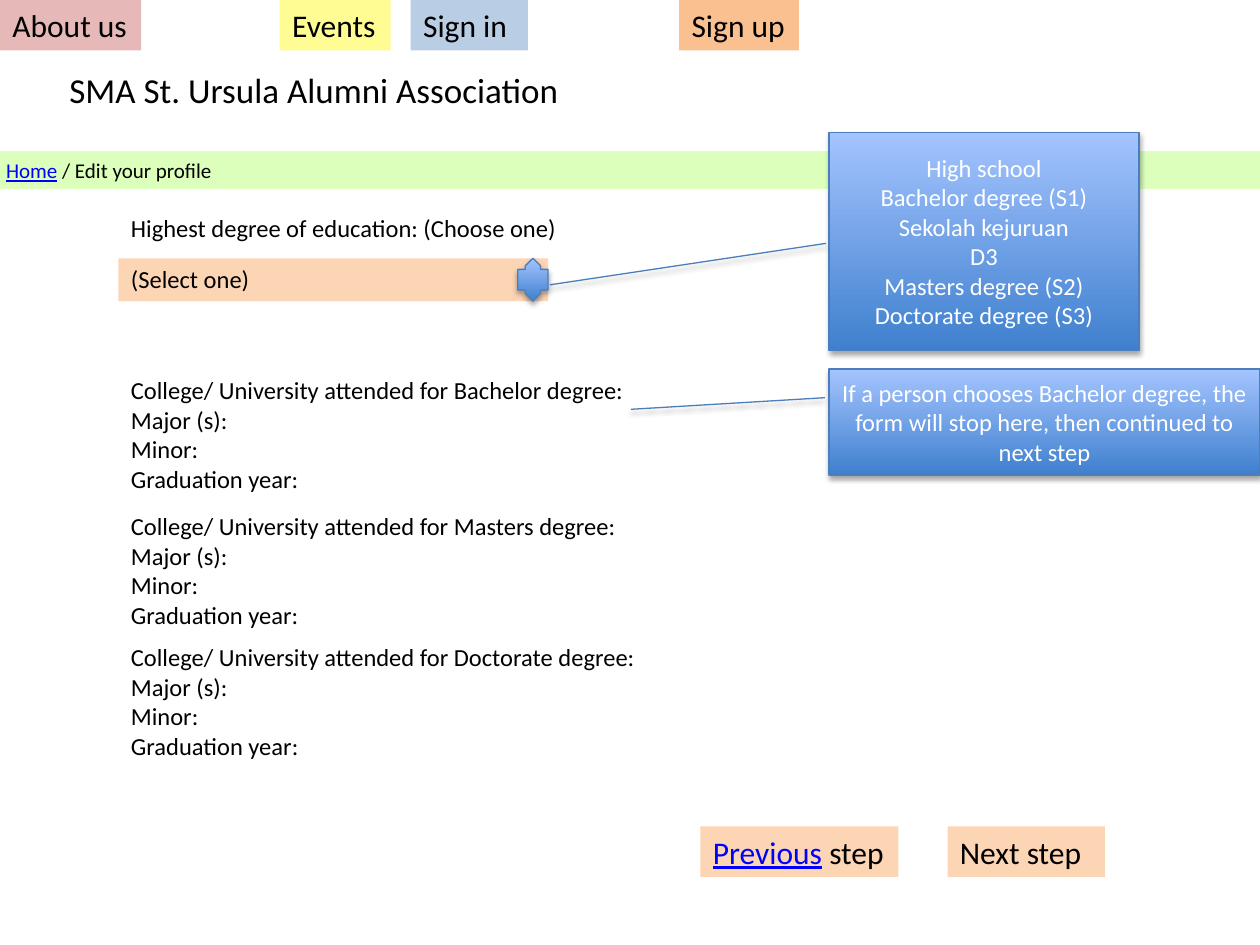
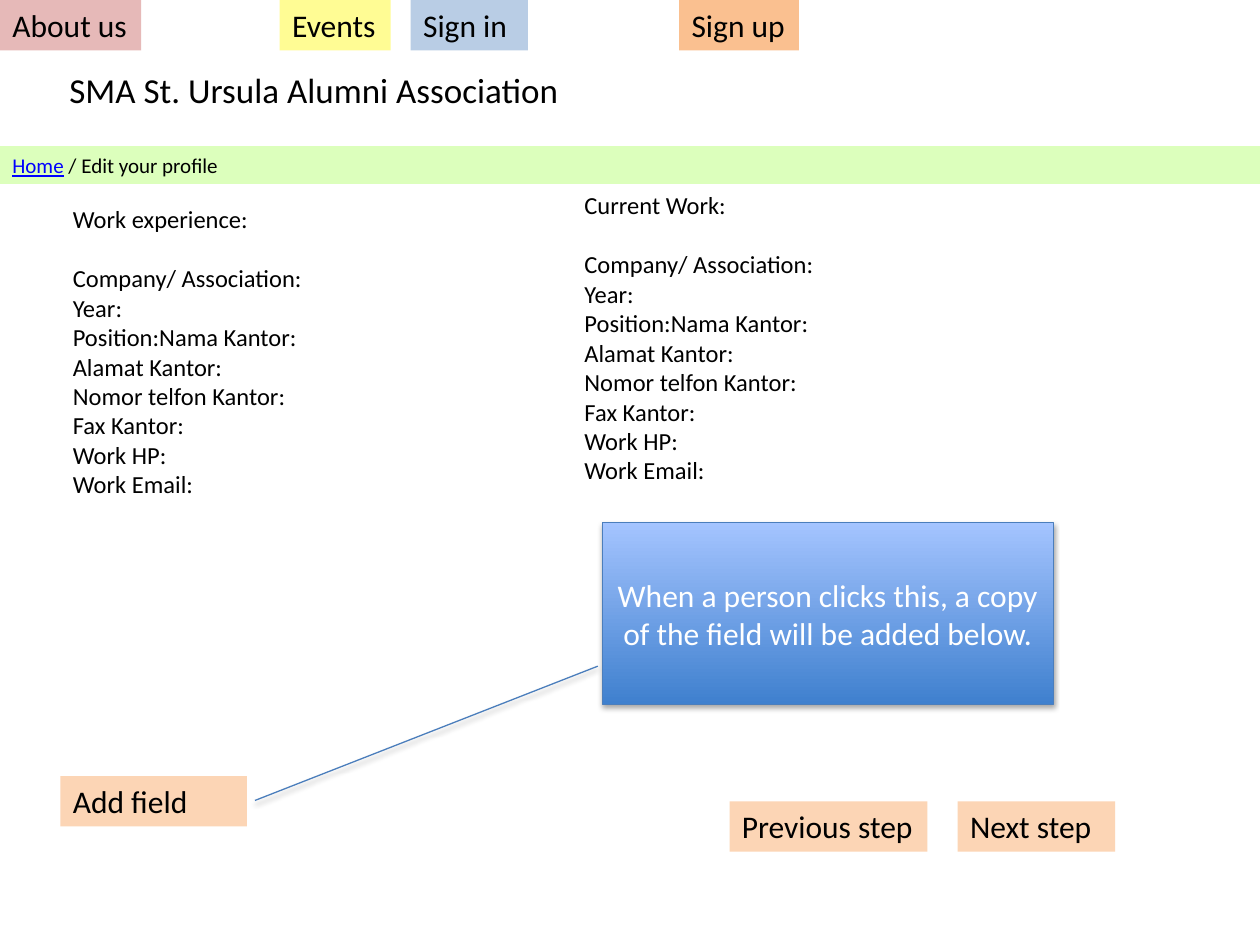
from dataclasses import dataclass

from lxml import etree
from pptx import Presentation
from pptx.dml.color import RGBColor
from pptx.enum.shapes import MSO_SHAPE
from pptx.enum.text import MSO_ANCHOR, MSO_AUTO_SIZE, PP_ALIGN
from pptx.oxml.ns import qn
from pptx.util import Inches, Pt

RECTANGLE = MSO_SHAPE.RECTANGLE
CALLOUT = MSO_SHAPE.LINE_CALLOUT_1
DROPDOWN_ARROW = MSO_SHAPE.UP_DOWN_ARROW_CALLOUT
TOP, MIDDLE = MSO_ANCHOR.TOP, MSO_ANCHOR.MIDDLE
LEFT, CENTER = PP_ALIGN.LEFT, PP_ALIGN.CENTER
NO_AUTOFIT = MSO_AUTO_SIZE.NONE
TITLE_ONLY = 5

FONT = "Calibri"
BLACK, WHITE, LINK = "000000", "FFFFFF", "0000FF"
PEACH, LIME = "FCD5B5", "A3FF4F"
NOTE_DARK, NOTE_LIGHT, NOTE_EDGE = "3F80CE", "A4C4FF", "4B7EBC"
BUTTON_HEIGHT = 0.4
BLANK_LINE = 17.1

WORK_FIELDS = ["Company/ Association:", "Year:", "Position:Nama Kantor:",
               "Alamat Kantor:", "Nomor telfon Kantor:", "Fax Kantor:",
               "Work HP:", "Work Email:"]
DEGREE_FIELDS = ["Major (s):", "Minor:", "Graduation year:"]
DEGREES = ["High school", "Bachelor degree (S1)", "Sekolah kejuruan", "D3",
           "Masters degree (S2)", "Doctorate degree (S3)"]


@dataclass(frozen=True)
class Box:
    left: float
    top: float
    width: float
    height: float

    def lengths(self) -> list:
        return [Inches(v) for v in (self.left, self.top, self.width, self.height)]


@dataclass(frozen=True)
class Button:
    label: str
    left: float
    width: float
    color: str = PEACH
    link: str = ""
    wrap: bool = False


@dataclass(frozen=True)
class Note:
    """A blue shape; pointer holds its preset adjustments."""
    box: Box
    pointer: tuple
    lines: tuple = ()
    size: int = 14
    preset: int = CALLOUT


NAVIGATION = [
    Button("About us", 0, 1.12, "E6B9B8"),
    Button("Events", 2.22, 0.88, "FFFC94"),
    Button("Sign in", 3.26, 0.93, "B9CDE5"),
    Button("Sign up", 5.39, 0.95, "FAC090"),
]


def rgb(color: str) -> RGBColor:
    return RGBColor.from_string(color)


def write(frame, lines, *, size=14, color=BLACK, align=LEFT, anchor=TOP,
          wrap=True, link="", heading_gap=0.0) -> None:
    """Fill a text frame; link is a leading piece of the first line."""
    frame.word_wrap = wrap
    frame.auto_size = NO_AUTOFIT
    frame.vertical_anchor = anchor
    for index, line in enumerate(lines):
        paragraph = frame.paragraphs[0] if index == 0 else frame.add_paragraph()
        paragraph.alignment = align
        pieces = [(line, color, False)]
        if link and index == 0:
            pieces = [(link, LINK, True), (line, color, False)]
        for text, ink, underlined in pieces:
            run = paragraph.add_run()
            run.text = text
            run.font.name = FONT
            run.font.size = Pt(size)
            run.font.color.rgb = rgb(ink)
            run.font.underline = underlined
    if heading_gap:
        frame.paragraphs[0].space_after = Pt(heading_gap)


def add_panel(slide, box: Box, color: str, text: str, **text_format):
    panel = slide.shapes.add_shape(RECTANGLE, *box.lengths())
    panel.shadow.inherit = False
    panel.fill.solid()
    panel.fill.fore_color.rgb = rgb(color)
    panel.line.fill.background()
    write(panel.text_frame, [text], **text_format)
    return panel


def add_buttons(slide, buttons: list[Button], top: float) -> None:
    for button in buttons:
        add_panel(slide, Box(button.left, top, button.width, BUTTON_HEIGHT),
                  button.color, button.label, size=18, wrap=button.wrap,
                  link=button.link)


def add_fields(slide, box: Box, lines: list[str], **text_format) -> None:
    field_list = slide.shapes.add_textbox(*box.lengths())
    write(field_list.text_frame, lines, wrap=False, **text_format)


def add_note(slide, note: Note) -> None:
    shape = slide.shapes.add_shape(note.preset, *note.box.lengths())
    for index, value in enumerate(note.pointer):
        shape.adjustments[index] = value
    shape.fill.gradient()
    shape.fill.gradient_angle = 90
    for stop, color in zip(shape.fill.gradient_stops, (NOTE_DARK, NOTE_LIGHT)):
        stop.color.rgb = rgb(color)
    shape.line.color.rgb = rgb(NOTE_EDGE)
    shape.line.width = Pt(0.75)
    add_soft_shadow(shape)
    write(shape.text_frame, note.lines, size=note.size, color=WHITE,
          align=CENTER, anchor=MIDDLE)


def add_soft_shadow(shape) -> None:
    shape.shadow.inherit = False
    effects = shape._element.spPr.find(qn("a:effectLst"))
    shadow = etree.SubElement(effects, qn("a:outerShdw"), blurRad=str(Pt(3.1)),
                              dist=str(Pt(1.8)), dir="5400000", rotWithShape="0")
    ink = etree.SubElement(shadow, qn("a:srgbClr"), val=BLACK)
    etree.SubElement(ink, qn("a:alpha"), val="35000")


def add_page(deck, band_left: float, band_top: float):
    """Add a slide with the site title, navigation and breadcrumb band."""
    slide = deck.slides.add_slide(deck.slide_layouts[TITLE_ONLY])
    title = slide.shapes.title
    title.left, title.top, title.width, title.height = Box(
        0.45, 0.49, 4.22, 0.44).lengths()
    write(title.text_frame, ["SMA St. Ursula Alumni Association"], size=20)
    add_buttons(slide, NAVIGATION, 0)
    band = add_panel(slide, Box(band_left, band_top, 10.48, 0.3), LIME,
                     " / Edit your profile", size=12, link="Home")
    tint = band._element.spPr.find(qn("a:solidFill")).find(qn("a:srgbClr"))
    etree.SubElement(tint, qn("a:alpha"), val="38000")
    return slide


def build_education(deck) -> None:
    slide = add_page(deck, -0.05, 1.2)
    add_fields(slide, Box(0.94, 1.64, 3.61, 0.34),
               ["Highest degree of education: (Choose one)"])
    add_panel(slide, Box(0.94, 2.05, 3.41, 0.34), PEACH, "(Select one)")
    for degree, top, width in (("Bachelor", 2.93, 4.16), ("Masters", 4.01, 4.1),
                               ("Doctorate", 5.05, 4.25)):
        heading = f"College/ University attended for {degree} degree:"
        add_fields(slide, Box(0.94, top, width, 1.04), [heading, *DEGREE_FIELDS])
    add_note(slide, Note(
        Box(6.58, 2.93, 3.42, 0.84), (0.27, -0.01, 0.38, -0.46),
        ("If a person chooses Bachelor degree, the form will stop here, "
         "then continued to next step",)))
    add_note(slide, Note(Box(6.58, 1.05, 2.46, 1.73), (0.51, -0.01, 0.7, -0.9),
                         tuple(DEGREES)))
    add_note(slide, Note(Box(4.11, 2.05, 0.24, 0.34), (0.5, 0.25, 0.25, 0.48),
                         preset=DROPDOWN_ARROW))
    add_buttons(slide, [Button(" step", 5.56, 1.57, link="Previous"),
                        Button("Next step", 7.52, 1.25, wrap=True)], 6.56)


def build_work(deck) -> None:
    slide = add_page(deck, 0, 1.16)
    for heading, left, top in (("Work experience:", 0.48, 1.57),
                               ("Current Work:", 4.54, 1.46)):
        add_fields(slide, Box(left, top, 2.03, 2.93), [heading, *WORK_FIELDS],
                   heading_gap=BLANK_LINE)
    add_note(slide, Note(
        Box(4.78, 4.15, 3.58, 1.44), (0.79, -0.01, 1.53, -0.77),
        ("When a person clicks this, a copy of the field will be added below.",),
        size=18))
    add_buttons(slide, [Button("Add field", 0.48, 1.48, wrap=True)], 6.16)
    add_buttons(slide, [Button("Previous step", 5.79, 1.57),
                        Button("Next step", 7.6, 1.25, wrap=True)], 6.36)


def main() -> None:
    deck = Presentation()
    deck.slide_width, deck.slide_height = Inches(10), Inches(7.5)
    build_education(deck)
    build_work(deck)
    deck.save("out.pptx")


if __name__ == "__main__":
    main()
